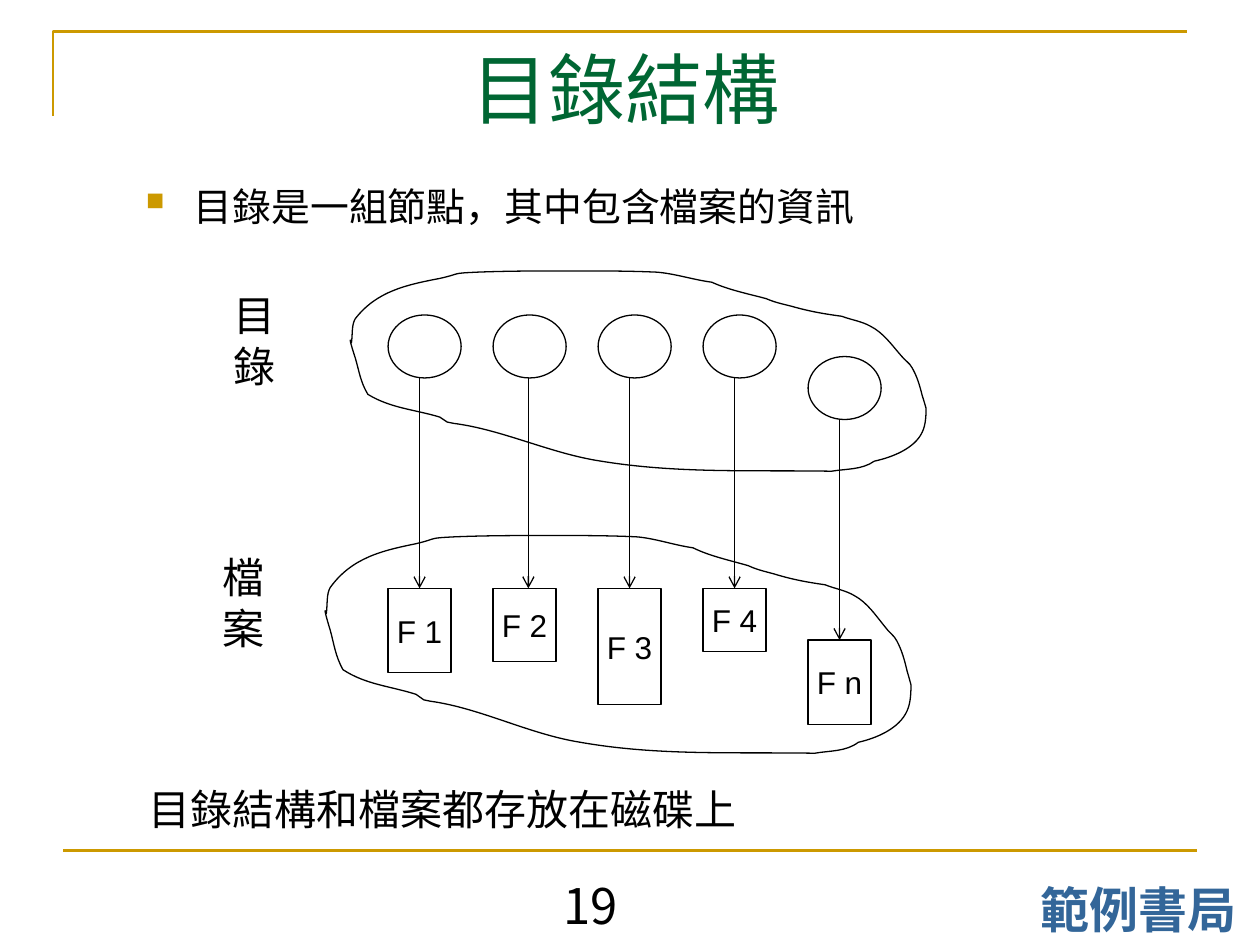
"""Build the directory structure slide with its nodes, files and arrows."""

from dataclasses import dataclass

from lxml.etree import SubElement
from pptx import Presentation
from pptx.dml.color import RGBColor
from pptx.enum.shapes import MSO_CONNECTOR, MSO_SHAPE
from pptx.enum.text import MSO_ANCHOR, PP_ALIGN
from pptx.oxml.ns import qn
from pptx.util import Inches, Pt


@dataclass(frozen=True)
class Theme:
    """Colours, fonts and sizes of the slide."""

    black: str = "000000"
    white: str = "FFFFFF"
    gold: str = "CC9900"
    green: str = "006633"
    blue: str = "336699"
    sans: str = "Noto Sans CJK SC"
    serif: str = "Vollkorn"
    latin: str = "Arial"
    title: float = 44
    footer: float = 28
    label: float = 24
    bullet: float = 22.2
    file: float = 18
    thin: float = 0.75
    rule: float = 1.5


THEME = Theme()


@dataclass(frozen=True)
class Label:
    """A text box and the style of its text."""

    text: str
    left: float
    top: float
    width: float
    height: float
    size: float = THEME.label
    font: str = THEME.sans
    color: str = THEME.black
    align: PP_ALIGN = PP_ALIGN.CENTER
    anchor: MSO_ANCHOR = MSO_ANCHOR.TOP
    wrap: bool = True
    bold: bool = False
    bullet: bool = False


@dataclass(frozen=True)
class Entry:
    """A directory node and the file it points to."""

    name: str
    node_top: float
    file_top: float
    file_height: float
    arrow_shift: float = 0


@dataclass(frozen=True)
class Frame:
    """The rectangle that a cloud outline fills."""

    left: float
    top: float
    width: float
    height: float


LABELS = [
    Label("範例書局", 8.07, 6.93, 1.93, 0.57, THEME.footer, color=THEME.blue, bold=True),
    Label("19", 3.98, 6.9, 1.42, 0.66, THEME.footer),
    Label("目錄結構", 0.43, 0.28, 9.07, 1.27, THEME.title, THEME.serif, THEME.green),
    Label("目錄是一組節點，其中包含檔案的資訊", 1.06, 1.5, 8.06, 0.39, THEME.bullet,
          THEME.serif, align=PP_ALIGN.LEFT, bullet=True),
    Label("目錄", 1.59, 2.45, 0.86, 0.5, anchor=MSO_ANCHOR.MIDDLE, wrap=False),
    Label("檔案", 1.5, 4.53, 0.86, 0.5, anchor=MSO_ANCHOR.MIDDLE, wrap=False),
    Label("目錄結構和檔案都存放在磁碟上", 1.08, 6.17, 8.31, 0.42, align=PP_ALIGN.LEFT),
]
ENTRIES = [
    Entry("F 1", 2.5, 4.67, 0.67),
    Entry("F 2", 2.5, 4.67, 0.58, 0.03),
    Entry("F 3", 2.5, 4.67, 0.92),
    Entry("F 4", 2.5, 4.67, 0.5),
    Entry("F n", 2.83, 5.08, 0.67),
]
FIRST_LEFT, PITCH = 3.08, 5 / 6
NODE_WIDTH, NODE_HEIGHT, FILE_WIDTH = 0.58, 0.5, 0.5

DIRECTORY_FRAME = Frame(2.78, 2.15, 4.58, 1.61)
FILE_FRAME = Frame(2.58, 4.25, 4.66, 1.75)
CLOUD_START = (2.79, 2.72)
CLOUD_CURVES = [
    (2.8, 2.65, 2.79, 2.58, 2.82, 2.53), (2.99, 2.31, 3.23, 2.26, 3.49, 2.21),
    (3.67, 2.17, 3.57, 2.17, 3.79, 2.16), (4.04, 2.15, 4.29, 2.15, 4.55, 2.15),
    (4.77, 2.15, 4.99, 2.15, 5.21, 2.16), (5.35, 2.17, 5.5, 2.22, 5.65, 2.24),
    (5.78, 2.3, 5.93, 2.33, 6.08, 2.37), (6.15, 2.4, 6.2, 2.41, 6.28, 2.43),
    (6.42, 2.47, 6.53, 2.49, 6.68, 2.51), (6.76, 2.54, 6.84, 2.55, 6.91, 2.59),
    (7.01, 2.64, 7.08, 2.74, 7.15, 2.82), (7.18, 2.86, 7.22, 2.88, 7.24, 2.92),
    (7.28, 2.99, 7.3, 3.06, 7.32, 3.14), (7.33, 3.17, 7.35, 3.24, 7.35, 3.24),
    (7.35, 3.28, 7.35, 3.37, 7.32, 3.43), (7.26, 3.56, 7.08, 3.63, 6.94, 3.66),
    (6.84, 3.73, 6.72, 3.72, 6.6, 3.74), (5.96, 3.73, 5.38, 3.76, 4.77, 3.66),
    (4.37, 3.6, 3.99, 3.41, 3.6, 3.36), (3.58, 3.36, 3.57, 3.35, 3.55, 3.35),
    (3.53, 3.34, 3.51, 3.32, 3.49, 3.31), (3.29, 3.25, 3.1, 3.24, 2.92, 3.13),
    (2.86, 3.03, 2.85, 2.94, 2.82, 2.84), (2.82, 2.84, 2.78, 2.72, 2.78, 2.7),
    (2.78, 2.69, 2.79, 2.71, 2.79, 2.72),
]


def set_line(shape, color: str, width: float) -> None:
    """Give a shape or connector a solid line."""
    shape.line.color.rgb = RGBColor.from_string(color)
    shape.line.width = Pt(width)


def write_text(shape, text: str, size: float, font: str, color: str, align: PP_ALIGN):
    """Write one formatted paragraph and return it."""
    shape.text_frame.text = text
    paragraph = shape.text_frame.paragraphs[0]
    paragraph.alignment = align
    run = paragraph.runs[0]
    run.font.size = Pt(size)
    run.font.color.rgb = RGBColor.from_string(color)
    run.font.name = font
    SubElement(run.font._element, qn("a:ea")).set("typeface", font)
    return paragraph


def add_bullet(paragraph) -> None:
    """Give a paragraph a hanging gold square bullet."""
    paragraph.line_spacing = 0.7
    properties = paragraph._p.get_or_add_pPr()
    properties.set("marL", str(Inches(0.38)))
    properties.set("indent", str(Inches(-0.38)))
    color = SubElement(properties, qn("a:buClr"))
    SubElement(color, qn("a:srgbClr")).set("val", THEME.gold)
    SubElement(properties, qn("a:buSzPct")).set("val", "65000")
    SubElement(properties, qn("a:buChar")).set("char", "■")


def add_label(slide, label: Label) -> None:
    """Add a text box."""
    box = slide.shapes.add_textbox(Inches(label.left), Inches(label.top),
                                   Inches(label.width), Inches(label.height))
    box.text_frame.word_wrap = label.wrap
    box.text_frame.vertical_anchor = label.anchor
    paragraph = write_text(box, label.text, label.size, label.font, label.color, label.align)
    paragraph.runs[0].font.bold = label.bold
    if label.bullet:
        add_bullet(paragraph)


def add_box(slide, kind: MSO_SHAPE, left: float, top: float, width: float, height: float):
    """Add a white shape with a thin black border."""
    shape = slide.shapes.add_shape(kind, Inches(left), Inches(top), Inches(width), Inches(height))
    shape.shadow.inherit = False
    shape.fill.solid()
    shape.fill.fore_color.rgb = RGBColor.from_string(THEME.white)
    set_line(shape, THEME.black, THEME.thin)
    return shape


def add_line(slide, start: tuple[float, float], end: tuple[float, float],
             color: str, width: float, arrow: bool = False) -> None:
    """Add a straight line, with an open arrowhead on request."""
    connector = slide.shapes.add_connector(MSO_CONNECTOR.STRAIGHT, *map(Inches, start + end))
    set_line(connector, color, width)
    if arrow:
        SubElement(connector.line._get_or_add_ln(), qn("a:tailEnd")).set("type", "arrow")
    SubElement(connector._element.spPr, qn("a:effectLst"))


def add_outline(slide, points: list[tuple[float, float]], color: str, width: float, close: bool):
    """Add an unfilled outline through the points."""
    start, *rest = [(Inches(x), Inches(y)) for x, y in points]
    builder = slide.shapes.build_freeform(*start)
    builder.add_line_segments(rest, close=close)
    shape = builder.convert_to_shape()
    shape.shadow.inherit = False
    shape.fill.background()
    set_line(shape, color, width)
    return shape


def add_cloud(slide, frame: Frame) -> None:
    """Add the curved cloud outline, fitted to a frame."""
    base = DIRECTORY_FRAME
    controls = [curve[i:i + 2] for curve in CLOUD_CURVES for i in (0, 2, 4)]
    points = [(frame.left + (x - base.left) * frame.width / base.width,
               frame.top + (y - base.top) * frame.height / base.height)
              for x, y in [CLOUD_START, *controls]]
    shape = add_outline(slide, points, THEME.black, THEME.thin, True)
    segments = list(shape._element.iter(qn("a:lnTo")))
    for i in range(0, len(controls), 3):
        curve = SubElement(segments[i].getparent(), qn("a:cubicBezTo"))
        segments[i].addprevious(curve)
        for segment in segments[i:i + 3]:
            curve.append(segment[0])
            segment.getparent().remove(segment)


def add_entry(slide, entry: Entry, left: float) -> None:
    """Add a directory node, its file and the arrow between them."""
    add_box(slide, MSO_SHAPE.OVAL, left, entry.node_top, NODE_WIDTH, NODE_HEIGHT)
    file = add_box(slide, MSO_SHAPE.RECTANGLE, left, entry.file_top, FILE_WIDTH, entry.file_height)
    file.text_frame.word_wrap = False
    file.text_frame.vertical_anchor = MSO_ANCHOR.MIDDLE
    write_text(file, entry.name, THEME.file, THEME.latin, THEME.black, PP_ALIGN.CENTER)
    middle = left + FILE_WIDTH / 2 + entry.arrow_shift
    add_line(slide, (middle, entry.node_top + NODE_HEIGHT), (middle, entry.file_top),
             THEME.black, THEME.thin, arrow=True)


def main() -> None:
    """Build and save the slide."""
    presentation = Presentation()
    presentation.slide_width, presentation.slide_height = Inches(10), Inches(7.5)
    slide = presentation.slides.add_slide(presentation.slide_layouts[6])
    add_outline(slide, [(0.42, 0.92), (0.42, 0.25), (9.42, 0.25)], THEME.gold, THEME.rule, False)
    add_line(slide, (0.5, 6.75), (9.5, 6.75), THEME.gold, THEME.rule)
    for column, entry in enumerate(ENTRIES):
        add_entry(slide, entry, FIRST_LEFT + column * PITCH)
    for frame in (DIRECTORY_FRAME, FILE_FRAME):
        add_cloud(slide, frame)
    for label in LABELS:
        add_label(slide, label)
    presentation.save("out.pptx")


if __name__ == "__main__":
    main()
